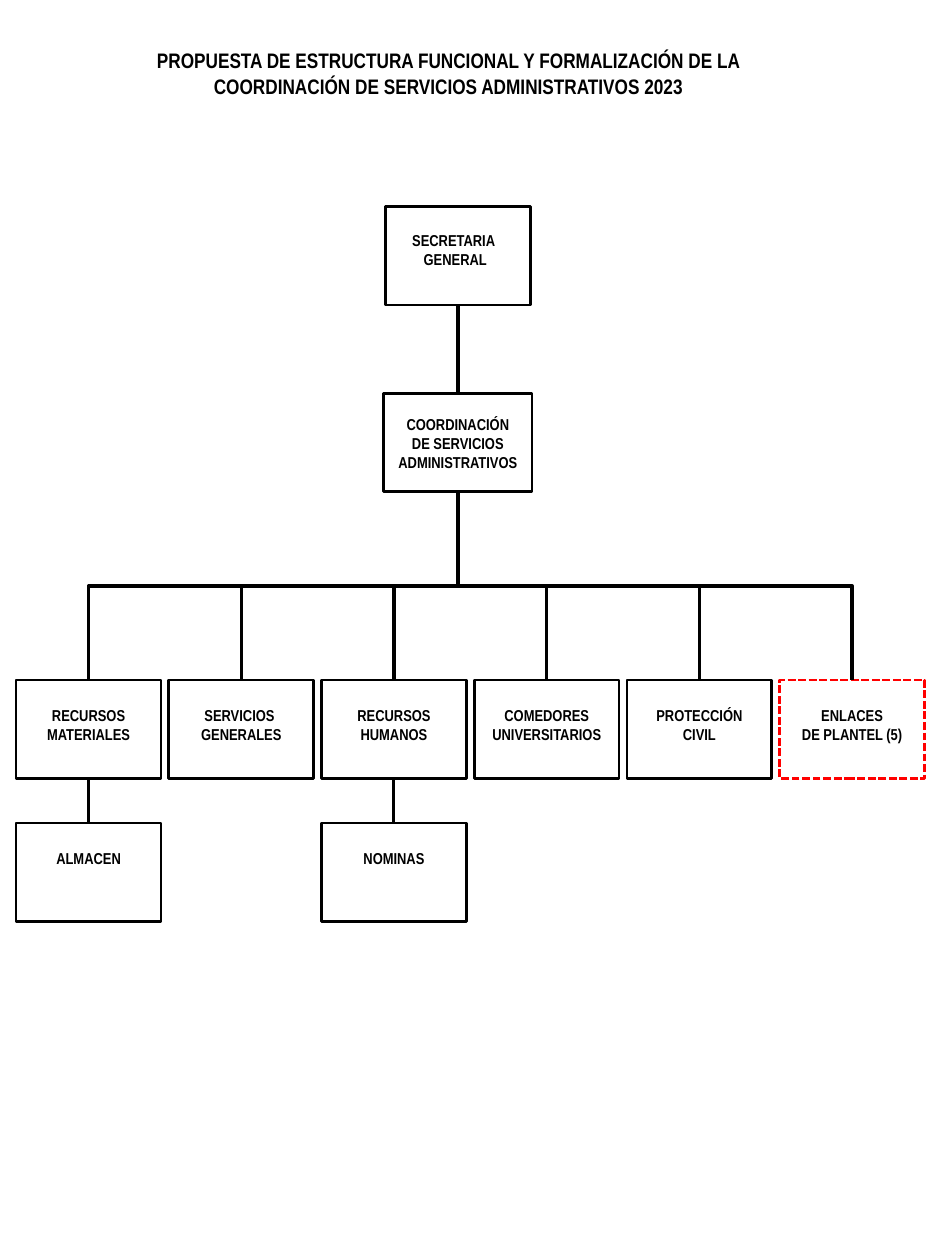
from pptx import Presentation
from pptx.dml.color import RGBColor
from pptx.enum.dml import MSO_LINE
from pptx.enum.shapes import MSO_CONNECTOR, MSO_SHAPE
from pptx.enum.text import MSO_ANCHOR, MSO_AUTO_SIZE, PP_ALIGN
from pptx.oxml.ns import qn
from pptx.util import Pt
from lxml import etree

BLACK = RGBColor(0, 0, 0)
RED = RGBColor(255, 0, 0)
FONT = "Arial Narrow"

BOX_WIDTH, BOX_HEIGHT = 82.8, 56.2
FIRST_LEFT, COLUMN_STEP = 9.2, 87.26
UNIT_TOP, SUBUNIT_TOP = 388.6, 470.2
TRUNK_X = 261.6
SECRETARY_TOP, COORDINATION_TOP = 118, 224.7
DEFAULT_INSETS = (7.2, 14.5, 7.2, 3.6)

deck = Presentation()
deck.slide_width, deck.slide_height = Pt(540), Pt(720)
page = deck.slides.add_slide(deck.slide_layouts[6])


def write_text(shape, lines, size, insets):
    frame = shape.text_frame
    frame.word_wrap = True
    frame.vertical_anchor = MSO_ANCHOR.TOP
    frame.margin_left, frame.margin_top, frame.margin_right, frame.margin_bottom = map(Pt, insets)
    frame.text = "\n".join(lines)
    for para in frame.paragraphs:
        para.alignment = PP_ALIGN.CENTER
        for span in para.runs:
            span.font.name = FONT
            span.font.size = Pt(size)
            span.font.bold = True
            span.font.color.rgb = BLACK


def add_line(kind, start_x, start_y, end_x, end_y, weight):
    connector = page.shapes.add_connector(kind, Pt(start_x), Pt(start_y), Pt(end_x), Pt(end_y))
    connector.line.color.rgb = BLACK
    connector.line.width = Pt(weight)
    etree.SubElement(connector.element.spPr, qn("a:effectLst"))
    return connector


title = page.shapes.add_textbox(Pt(75.6), Pt(23.8), Pt(361.4), Pt(36))
write_text(
    title,
    ["PROPUESTA DE ESTRUCTURA FUNCIONAL Y FORMALIZACIÓN DE LA COORDINACIÓN DE SERVICIOS ADMINISTRATIVOS 2023"],
    12,
    (7.2, 3.6, 7.2, 3.6),
)
title.text_frame.auto_size = MSO_AUTO_SIZE.SHAPE_TO_FIT_TEXT

units = [
    ["RECURSOS MATERIALES"],
    ["SERVICIOS ", "GENERALES"],
    ["RECURSOS HUMANOS"],
    ["COMEDORES UNIVERSITARIOS"],
    ["PROTECCIÓN CIVIL"],
    ["ENLACES", "DE PLANTEL (5)"],
]
subunits = {0: "ALMACEN", 2: "NOMINAS"}
lefts = [FIRST_LEFT + COLUMN_STEP * column for column in range(len(units))]

boxes = [
    (MSO_SHAPE.FLOWCHART_PROCESS, TRUNK_X - BOX_WIDTH / 2, SECRETARY_TOP, BOX_WIDTH,
     ["SECRETARIA ", "GENERAL"], (2.9, 13.8, 5.8, 2.9)),
    (MSO_SHAPE.RECTANGLE, TRUNK_X - 42.5, COORDINATION_TOP, 85,
     ["COORDINACIÓN DE SERVICIOS ADMINISTRATIVOS"], (7.2, 12.3, 7.2, 3.6)),
]
for left, lines in zip(lefts, units):
    boxes.append((MSO_SHAPE.RECTANGLE, left, UNIT_TOP, BOX_WIDTH, lines, DEFAULT_INSETS))
for column, name in subunits.items():
    boxes.append((MSO_SHAPE.RECTANGLE, lefts[column], SUBUNIT_TOP, BOX_WIDTH, [name], DEFAULT_INSETS))

for kind, left, top, width, lines, insets in boxes:
    box = page.shapes.add_shape(kind, Pt(left), Pt(top), Pt(width), Pt(BOX_HEIGHT))
    box.shadow.inherit = False
    box.fill.background()
    box.line.width = Pt(1.5)
    box.line.color.rgb = BLACK
    if lines[0] == "ENLACES":
        box.line.color.rgb = RED
        box.line.dash_style = MSO_LINE.SQUARE_DOT
    write_text(box, lines, 9, insets)

add_line(MSO_CONNECTOR.STRAIGHT, TRUNK_X, SECRETARY_TOP + BOX_HEIGHT, TRUNK_X, COORDINATION_TOP, 2)

trunk_bottom = COORDINATION_TOP + BOX_HEIGHT
drop = UNIT_TOP - trunk_bottom
middle_y = (trunk_bottom + UNIT_TOP) / 2
for left in lefts:
    unit_x = left + BOX_WIDTH / 2
    reach = abs(unit_x - TRUNK_X)
    middle_x = (unit_x + TRUNK_X) / 2
    side = 1 if unit_x > TRUNK_X else -1
    branch = add_line(
        MSO_CONNECTOR.ELBOW,
        middle_x + side * drop / 2, middle_y - reach / 2,
        middle_x - side * drop / 2, middle_y + reach / 2,
        2,
    )
    angle = 270 if side > 0 else 90
    branch.element.spPr.find(qn("a:xfrm")).set("rot", str(angle * 60000))

for column in subunits:
    unit_x = lefts[column] + BOX_WIDTH / 2
    add_line(MSO_CONNECTOR.STRAIGHT, unit_x, UNIT_TOP + BOX_HEIGHT, unit_x, SUBUNIT_TOP, 1.75)

deck.save("out.pptx")
